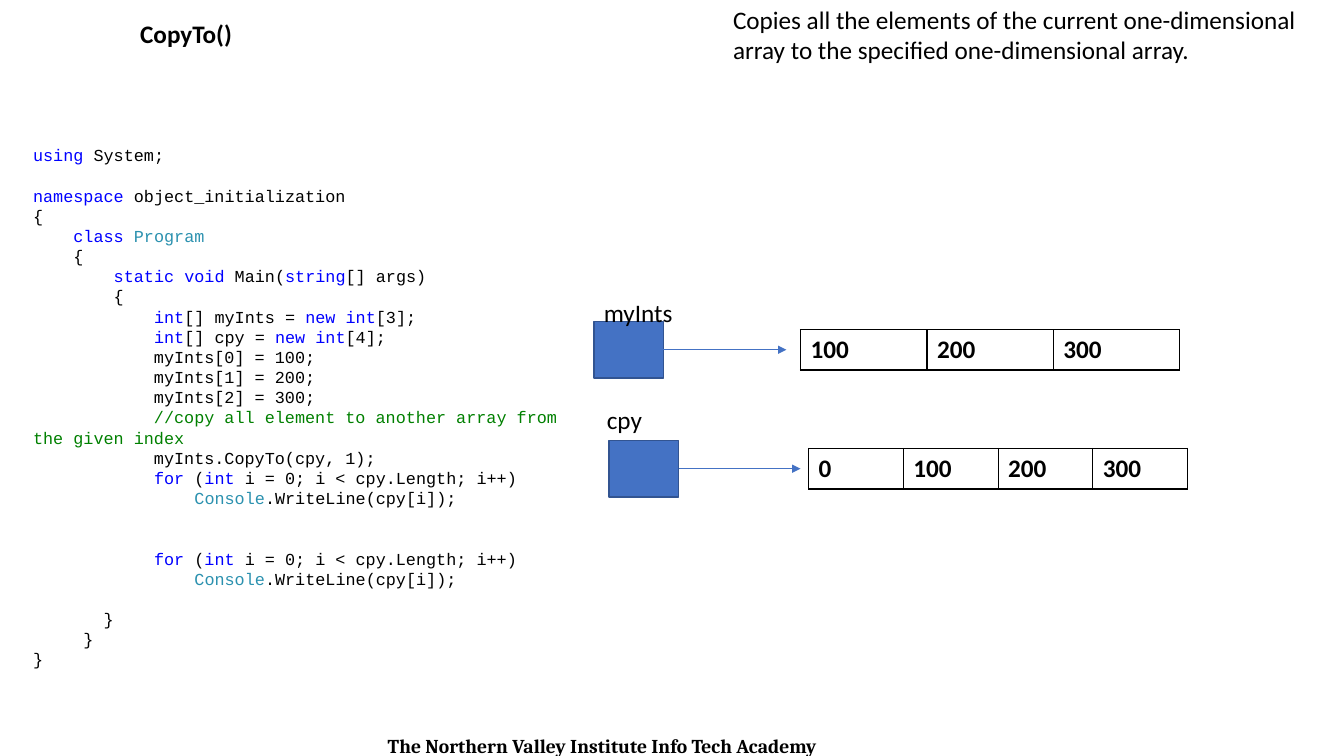
from itertools import groupby

from lxml import etree
from pptx import Presentation
from pptx import util as u
from pptx.dml.color import RGBColor
from pptx.enum import shapes, text
from pptx.oxml import ns

BLACK, WHITE, BLUE = "000000", "FFFFFF", "4472C4"
KEYWORD, TYPE_NAME, COMMENT = "0000FF", "2B91AF", "008000"
TOKEN_COLOURS = dict.fromkeys(
    ["using", "namespace", "class", "static", "void", "string", "int", "new", "for"], KEYWORD)
TOKEN_COLOURS.update(Program=TYPE_NAME, Console=TYPE_NAME)
CODE_PITCH = 14.4

CODE = """using System;

namespace object_initialization
{
    class Program
    {
        static void Main(string[] args)
        {
            int[] myInts = new int[3];
            int[] cpy = new int[4];
            myInts[0] = 100;
            myInts[1] = 200;
            myInts[2] = 300;
            //copy all element to another array from the given index
            myInts.CopyTo(cpy, 1);
            for (int i = 0; i < cpy.Length; i++)
                Console.WriteLine(cpy[i]);


            for (int i = 0; i < cpy.Length; i++)
                Console.WriteLine(cpy[i]);

       }
     }
}"""


def write(paragraph, words, size=18, font="Calibri", colour=BLACK, bold=False):
    run = paragraph.add_run()
    run.text = words
    run.font.size = u.Pt(size)
    run.font.name = font
    run.font.bold = bold
    run.font.color.rgb = RGBColor.from_string(colour)


def add_row(left, top, width, height, values, bold, bordered):
    """Add a one-row table with equal columns; bold holds one flag per cell."""
    table = slide.shapes.add_table(1, len(values), u.Inches(left), u.Inches(top),
                                   u.Inches(width), u.Inches(height)).table
    table.first_row = table.horz_banding = False
    for cell, value, is_bold in zip(table.rows[0].cells, values, bold):
        cell.vertical_anchor = text.MSO_ANCHOR.MIDDLE
        write(cell.text_frame.paragraphs[0], value, bold=is_bold)
        if not bordered:
            cell.fill.background()
            continue
        properties = cell._tc.get_or_add_tcPr()
        for side in ("lnL", "lnR", "lnT", "lnB"):
            border = etree.SubElement(properties, ns.qn(f"a:{side}"), w=str(u.Pt(1)))
            solid = etree.SubElement(border, ns.qn("a:solidFill"))
            etree.SubElement(solid, ns.qn("a:srgbClr"), val=BLACK)
        cell.fill.solid()
        cell.fill.fore_color.rgb = RGBColor.from_string(WHITE)


presentation = Presentation()
presentation.slide_width = u.Inches(13.33)
presentation.slide_height = u.Inches(7.5)
slide = presentation.slides.add_slide(presentation.slide_layouts[6])

# Footer
footer = slide.shapes.add_textbox(u.Inches(1.32), u.Inches(7.23), u.Inches(9.31), u.Inches(0.34))
footer.text_frame.word_wrap = True
footer_line = footer.text_frame.paragraphs[0]
footer_line.alignment = text.PP_ALIGN.CENTER
write(footer_line, "The Northern Valley Institute Info Tech Academy", size=14, font="Cambria", bold=True)

# Method and its description
add_row(1.29, 0, 11.76, 0.7,
        ["CopyTo()", "Copies all the elements of the current one-dimensional array "
                     "to the specified one-dimensional array."],
        bold=[True, False], bordered=False)

# Code, coloured by token; empty code lines become space before the next line
listing = slide.shapes.add_textbox(u.Inches(0.23), u.Inches(1.39), u.Inches(5.66), u.Inches(5.35))
listing.text_frame.word_wrap = True
code_line = listing.text_frame.paragraphs[0]
skipped = 0
for number, source_line in enumerate(CODE.split("\n")):
    if not source_line:
        skipped += 1
        continue
    if number:
        code_line = listing.text_frame.add_paragraph()
    code_line.line_spacing = u.Pt(CODE_PITCH)
    if skipped:
        code_line.space_before = u.Pt(CODE_PITCH * skipped)
        skipped = 0
    if "//" in source_line:
        write(code_line, source_line, size=12, font="Courier New", colour=COMMENT)
        continue
    tokens = ["".join(letters) for _, letters in groupby(source_line, str.isalnum)]
    for colour, group in groupby(tokens, lambda token: TOKEN_COLOURS.get(token, BLACK)):
        write(code_line, "".join(group), size=12, font="Courier New", colour=colour)

# Each variable: name, reference box, arrow and array
variables = [
    ("myInts", 5.89, 2.9, 5.89, 3.19, 7.8, 7.94, ["100", "200", "300"]),
    ("cpy", 5.92, 3.96, 6.04, 4.37, 7.94, 8.02, ["0", "100", "200", "300"]),
]
for name, name_left, name_top, box_left, box_top, arrow_end, array_left, values in variables:
    reference = slide.shapes.add_shape(shapes.MSO_SHAPE.RECTANGLE, u.Inches(box_left),
                                       u.Inches(box_top), u.Inches(0.69), u.Inches(0.56))
    reference.shadow.inherit = False
    reference.fill.solid()
    reference.fill.fore_color.rgb = RGBColor.from_string(BLUE)
    reference.line.color.rgb = RGBColor.from_string("325491")
    reference.line.width = u.Pt(1)

    middle = box_top + 0.28
    arrow = slide.shapes.add_connector(shapes.MSO_CONNECTOR.STRAIGHT, u.Inches(box_left + 0.69),
                                       u.Inches(middle), u.Inches(arrow_end), u.Inches(middle))
    arrow.line.color.rgb = RGBColor.from_string(BLUE)
    arrow.line.width = u.Pt(0.5)
    etree.SubElement(arrow.line._get_or_add_ln(), ns.qn("a:tailEnd"), type="triangle")
    etree.SubElement(arrow._element.spPr, ns.qn("a:effectLst"))

    add_row(array_left, box_top + 0.08, 3.76, 0.4, values, bold=[True] * len(values), bordered=True)

    label = slide.shapes.add_textbox(u.Inches(name_left), u.Inches(name_top),
                                     u.Inches(0.97), u.Inches(0.4))
    label.text_frame.word_wrap = True
    write(label.text_frame.paragraphs[0], name)

presentation.save("out.pptx")
